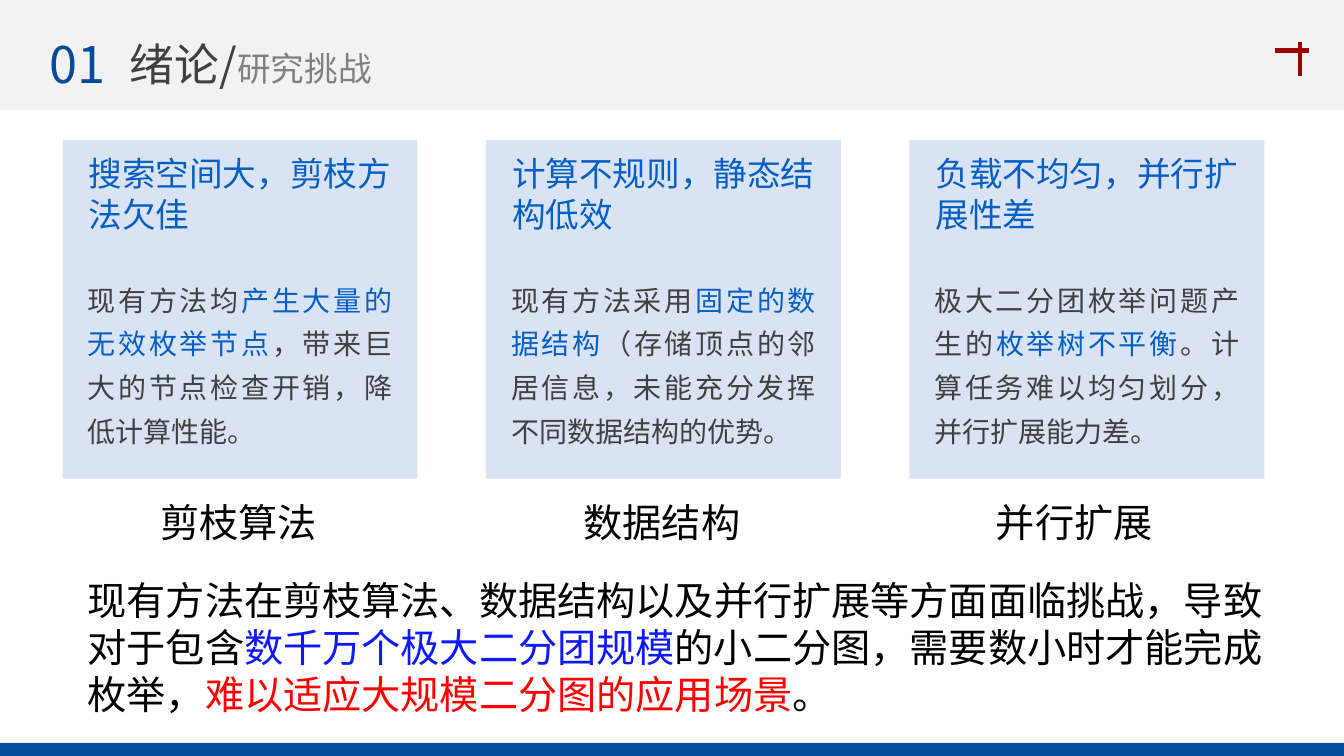
from lxml import etree
from pptx import Presentation
from pptx.dml.color import RGBColor
from pptx.enum import shapes, text
from pptx.oxml import ns
from pptx.util import Inches, Pt

FACE = "Noto Sans CJK SC"
HUES = {"band": "F2F2F2", "navy": "034C9C", "mark": "9E0000", "card": "DAE3F3",
        "blue": "045FC4", "dark": "404040", "gray": "808080", "black": "000000",
        "vivid": "1019FE", "red": "FF0000"}

deck = Presentation()
deck.slide_width, deck.slide_height = Inches(13.33), Inches(7.5)
slide = deck.slides.add_slide(deck.slide_layouts[6])


def add_rect(left, top, width, height, hue):
    rect = slide.shapes.add_shape(shapes.MSO_SHAPE.RECTANGLE, Inches(left),
                                  Inches(top), Inches(width), Inches(height))
    rect.shadow.inherit = False
    rect.fill.solid()
    rect.fill.fore_color.rgb = RGBColor.from_string(HUES[hue])
    rect.line.fill.background()


def add_text(left, top, width, height, runs, **form):
    """Each run is (words, size, hue); form holds paragraph settings."""
    box = slide.shapes.add_textbox(Inches(left), Inches(top),
                                   Inches(width), Inches(height))
    frame = box.text_frame
    frame.word_wrap = True
    frame.auto_size = text.MSO_AUTO_SIZE.SHAPE_TO_FIT_TEXT
    para = frame.paragraphs[0]
    for key, value in form.items():
        setattr(para, key, value)
    for words, size, hue in runs:
        run = para.add_run()
        run.text = words
        for key, value in {"size": Pt(size), "name": FACE}.items():
            setattr(run.font, key, value)
        run.font.color.rgb = RGBColor.from_string(HUES[hue])
        east = etree.SubElement(run.font._element, ns.qn("a:ea"))
        east.set("typeface", FACE)


# Header
add_rect(0, 0, 13.33, 1.09, "band")
add_text(1.19, 0.32, 9.47, 0.64, [("绪论/", 32, "dark"), ("研究挑战", 24, "gray")])
add_text(0.35, 0.28, 0.84, 0.71, [("01", 36, "navy")],
         alignment=text.PP_ALIGN.CENTER)

# Corner mark
for ends in [(12.89, 0.42, 12.89, 0.75), (12.98, 0.5, 12.65, 0.5)]:
    line = slide.shapes.add_connector(shapes.MSO_CONNECTOR.STRAIGHT,
                                      *[Inches(end) for end in ends])
    line.line.width = Pt(3)
    line.line.color.rgb = RGBColor.from_string(HUES["mark"])
    etree.SubElement(line._element.spPr, ns.qn("a:effectLst"))

# Footer bar
add_rect(-0.01, 7.37, 13.36, 0.13, "navy")

# Challenge cards: title, body (plain, key, plain), label and its left edge
cards = [
    ("搜索空间大，剪枝方法欠佳",
     ("现有方法均", "产生大量的无效枚举节点",
      "，带来巨大的节点检查开销，降低计算性能。"), "剪枝算法", 1.49),
    ("计算不规则，静态结构低效",
     ("现有方法采用", "固定的数据结构",
      "（存储顶点的邻居信息，未能充分发挥不同数据结构的优势。"), "数据结构", 5.69),
    ("负载不均匀，并行扩展性差",
     ("极大二分团枚举问题产生的", "枚举树不平衡",
      "。计算任务难以均匀划分，并行扩展能力差。"), "并行扩展", 9.78),
]
for i, (title, body, label, edge) in enumerate(cards):
    left = 0.62 + 4.2 * i
    add_rect(left, 1.39, 3.52, 3.36, "card")
    add_text(left + 0.16, 1.47, 3.22, 0.91, [(title, 24, "blue")])
    add_text(left + 0.15, 2.66, 3.22, 1.81,
             [(words, 20, hue) for words, hue in zip(body, ("dark", "blue", "dark"))],
             alignment=text.PP_ALIGN.JUSTIFY, line_spacing=1.3)
    add_text(edge, 4.89, 1.77, 0.57, [(label, 28, "black")])

# Summary
add_text(0.77, 5.67, 11.88, 1.51, [
    ("现有方法在剪枝算法、数据结构以及并行扩展等方面面临挑战，导致对于包含", 28, "black"),
    ("数千万个极大二分团规模", 28, "vivid"),
    ("的小二分图，需要数小时才能完成枚举，", 28, "black"),
    ("难以适应大规模二分图的应用场景", 28, "red"),
    ("。", 28, "black"),
])

deck.save("out.pptx")
